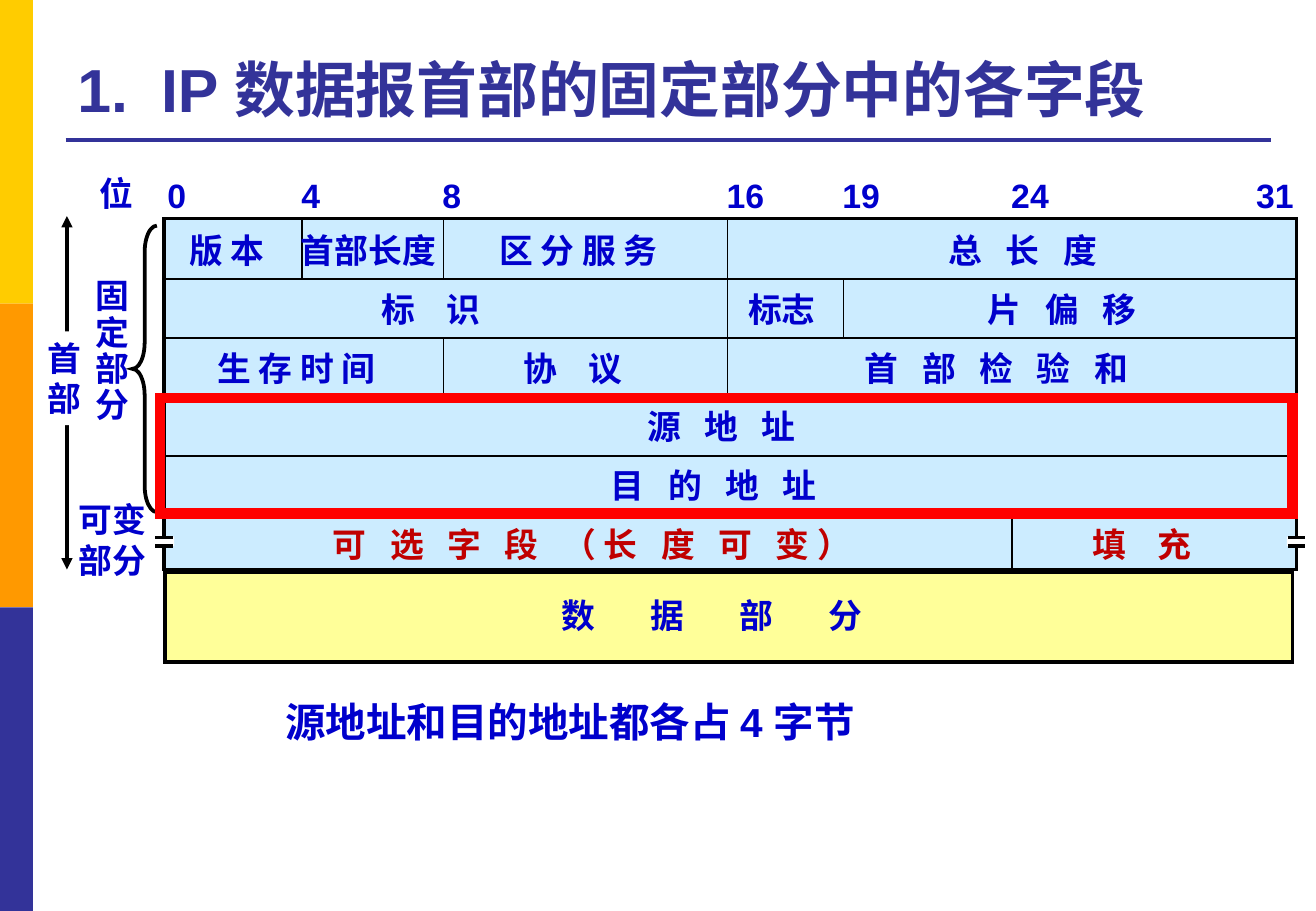
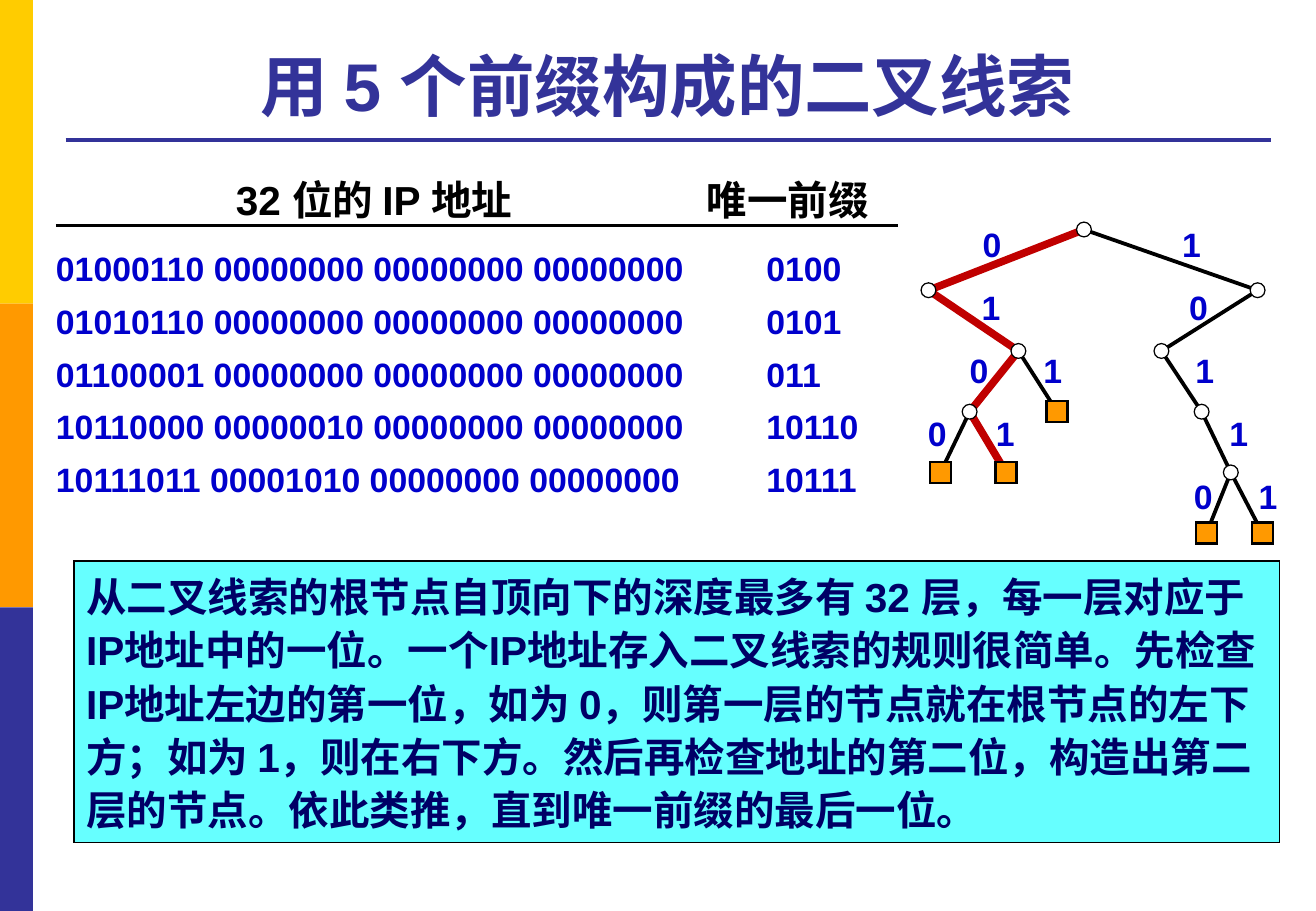
from lxml import etree
from pptx import Presentation
from pptx.dml.color import RGBColor
from pptx.enum.shapes import MSO_CONNECTOR, MSO_SHAPE
from pptx.enum.text import MSO_ANCHOR, PP_ALIGN
from pptx.oxml.ns import qn
from pptx.util import Cm, Pt

STRAIGHT = MSO_CONNECTOR.STRAIGHT
RECTANGLE, OVAL, LEFT_BRACE = MSO_SHAPE.RECTANGLE, MSO_SHAPE.OVAL, MSO_SHAPE.LEFT_BRACE
TOP, MIDDLE, BOTTOM = MSO_ANCHOR.TOP, MSO_ANCHOR.MIDDLE, MSO_ANCHOR.BOTTOM
LEFT, CENTER = PP_ALIGN.LEFT, PP_ALIGN.CENTER

FONT = "Arial"
INDIGO, BLUE, NAVY, RED = "333399", "0000CC", "000066", "C00000"
BLACK, WHITE, ORANGE = "000000", "FFFFFF", "FF9900"
BANDS = ["FFCC00", ORANGE, INDIGO]


def rgb(value):
    return RGBColor.from_string(value)


class Deck:
    """Hold the shared style and the slide being built."""

    def __init__(self):
        self.presentation = Presentation()
        self.presentation.slide_width = Cm(27.51)
        self.presentation.slide_height = Cm(19.05)
        self.slide = None

    def new_slide(self, title, size, align=LEFT, tab=None):
        self.slide = self.presentation.slides.add_slide(self.presentation.slide_layouts[6])
        for index, color in enumerate(BANDS):
            self.shape(RECTANGLE, 0, 6.35 * index, 0.69, 6.35, color)
        self.line(1.37, 2.92, 26.57, 2.92, 2.25, INDIGO)
        self.text(title, 1.37, 0.53, 25.17, 2.21, size, INDIGO, align=align, anchor=BOTTOM, tab=tab)

    def paint(self, shape, fill, line, width):
        if fill:
            shape.fill.solid()
            shape.fill.fore_color.rgb = rgb(fill)
        else:
            shape.fill.background()
        if line:
            shape.line.color.rgb = rgb(line)
            shape.line.width = Pt(width)
            etree.SubElement(shape._element.spPr.find(qn("a:ln")), qn("a:miter"), lim="800000")
        else:
            shape.line.fill.background()

    def shape(self, kind, x, y, width, height, fill=None, line=None, weight=1):
        shape = self.slide.shapes.add_shape(kind, Cm(x), Cm(y), Cm(width), Cm(height))
        shape.shadow.inherit = False
        self.paint(shape, fill, line, weight)
        return shape

    def line(self, x1, y1, x2, y2, weight=1, color=BLACK, arrows=False):
        connector = self.slide.shapes.add_connector(STRAIGHT, Cm(x1), Cm(y1), Cm(x2), Cm(y2))
        connector.line.color.rgb = rgb(color)
        connector.line.width = Pt(weight)
        properties = connector._element.spPr
        if arrows:
            for end in ("a:headEnd", "a:tailEnd"):
                etree.SubElement(properties.find(qn("a:ln")), qn(end), type="triangle")
        etree.SubElement(properties, qn("a:effectLst"))

    def style(self, paragraph, size, color, align=LEFT):
        paragraph.alignment = align
        paragraph.font.name = FONT
        paragraph.font.size = Pt(size)
        paragraph.font.bold = True
        paragraph.font.color.rgb = rgb(color)

    def text(self, text, x, y, width, height, size=20, color=BLUE, align=LEFT, anchor=TOP,
             wrap=True, spacing=None, tracking=0, tab=None, fill=None, line=None):
        box = self.slide.shapes.add_textbox(Cm(x), Cm(y), Cm(width), Cm(height))
        self.paint(box, fill, line, 0.75)
        frame = box.text_frame
        frame.word_wrap = wrap
        frame.vertical_anchor = anchor
        frame.text = text
        for paragraph in frame.paragraphs:
            self.style(paragraph, size, color, align)
            if spacing:
                paragraph.line_spacing = spacing
            defaults = paragraph._p.pPr.find(qn("a:defRPr"))
            if tracking:
                defaults.set("spc", str(tracking))
            if tab:
                stops = etree.Element(qn("a:tabLst"))
                etree.SubElement(stops, qn("a:tab"), pos=str(Cm(tab)), algn="l")
                defaults.addprevious(stops)

    def label(self, text, x, y, gap=1, color=BLUE):
        slack = 0.2 if gap == 1 else 1
        advance = {" ": 0.196 * gap}
        width = 0.51 + slack + sum(advance.get(c, 0.39 if c.isdigit() else 0.706) for c in text)
        self.text(text, x, y, width, 1.09, color=color, tracking=235 * (gap - 1))

    def table(self, x, y, widths, heights, rows):
        frame = self.slide.shapes.add_table(len(rows), len(widths), Cm(x), Cm(y),
                                            Cm(sum(widths)), Cm(sum(heights)))
        table = frame.table
        table.first_row = table.horz_banding = False
        for column, width in zip(table.columns, widths):
            column.width = Cm(width)
        for row_index, (row, height) in enumerate(zip(rows, heights)):
            table.rows[row_index].height = Cm(height)
            for column_index, value in enumerate(row):
                header = row_index == 0
                cell = table.cell(row_index, column_index)
                cell.fill.background()
                cell.text = value
                cell.vertical_anchor = TOP if header else MIDDLE
                cell.margin_top = cell.margin_bottom = cell.margin_right = 0
                cell.margin_left = Cm(1.55 if column_index and not header else 0)
                paragraph = cell.text_frame.paragraphs[0]
                if header:
                    self.style(paragraph, 24, BLACK, CENTER)
                else:
                    self.style(paragraph, 20, BLUE)


def build_header_slide(deck):
    deck.new_slide("1.\tIP 数据报首部的固定部分中的各字段", 36, tab=1.75)
    top, step, left, right = 4.61, 1.23, 3.4, 27.13
    bits = {0: 3.52, 4: 6.32, 8: 9.27, 16: 15.21, 19: 17.63, 24: 21.16, 31: 26.28}
    separators = [(4, 0, 1), (8, 0, 1), (8, 2, 3), (16, 0, 3), (19, 1, 2), (24, 5, 6)]
    fields = [
        [("版 本", 3.71, 1), ("首部长度", 6.04, 1), ("区 分 服 务", 10.19, 1), ("总 长 度", 19.58, 3)],
        [("标 识", 7.72, 4), ("标志", 15.39, 1), ("片 偏 移", 20.4, 3)],
        [("生 存 时 间", 4.29, 1), ("协 议", 10.69, 4), ("首 部 检 验 和", 17.83, 3)],
        [("源 地 址", 13.28, 3)],
        [("目 的 地 址", 12.52, 3)],
        [("可 选 字 段 （长 度 可 变）", 6.71, 3), ("填 充", 22.58, 4)],
    ]

    deck.shape(RECTANGLE, 3.43, 4.57, 23.67, 7.34, "CCECFF", BLACK, 2)
    deck.shape(RECTANGLE, 3.45, 11.96, 23.57, 1.88, "FFFF99", BLACK, 2.25)
    for row in range(1, len(fields)):
        deck.line(left, top + step * row, right, top + step * row)
    for bit, first, last in separators:
        deck.line(bits[bit], top + step * first, bits[bit], top + step * last)
    for bit, x in bits.items():
        deck.label(str(bit), x - 0.27, 3.53)
    for row, names in enumerate(fields):
        for name, x, gap in names:
            deck.label(name, x, top + step * row + 0.07, gap, RED if row == 5 else BLUE)
    deck.label("位", 1.83, 3.48)
    deck.label("数 据 部 分", 11.48, 12.32, 7)

    for x in (3.23, 26.9):
        deck.shape(RECTANGLE, x, 11.22, 0.41, 0.2, WHITE)
        for y in (11.24, 11.42):
            deck.line(x + 0.02, y, x + 0.38, y, 2)

    deck.line(1.4, 4.52, 1.4, 11.91, 2.25, arrows=True)
    deck.text("首\n部", 0.74, 6.93, 1.22, 1.96, wrap=False, fill=WHITE)
    deck.text("固\n定\n部\n分", 1.75, 5.72, 1.22, 3.33, wrap=False, spacing=0.9)
    deck.text("可变\n部分", 1.4, 10.31, 1.93, 1.96, wrap=False)
    brace = deck.shape(LEFT_BRACE, 2.77, 4.72, 0.51, 5.99, line=BLACK, weight=2.25)
    brace.adjustments[0] = 1.08

    deck.text("源地址和目的地址都各占 4 字节", 5.61, 14.45, 12.62, 1.3, 24, align=CENTER)
    deck.shape(RECTANGLE, 3.35, 8.33, 23.67, 2.41, line="FF0000", weight=6)


def build_trie_slide(deck):
    deck.new_slide("用 5 个前缀构成的二叉线索", 40, CENTER)
    rows = [
        ("32 位的 IP 地址", "唯一前缀"),
        ("01000110 00000000 00000000 00000000", "0100"),
        ("01010110 00000000 00000000 00000000", "0101"),
        ("01100001 00000000 00000000 00000000", "011"),
        ("10110000 00000010 00000000 00000000", "10110"),
        ("10111011 00001010 00000000 00000000", "10111"),
    ]
    deck.table(1.17, 3.53, [13.3, 4], [1.57] + [1.1] * 5, rows)
    deck.line(1.17, 4.72, 18.77, 4.72, 1.5)

    leaves = [prefix for _, prefix in rows[1:]]
    highlighted = "0101"
    node_x = {
        "": 22.66, "0": 19.41, "01": 21.29, "010": 20.27, "0100": 19.66, "0101": 21.03,
        "011": 22.1, "1": 26.29, "10": 24.28, "101": 25.12, "1011": 25.73,
        "10110": 25.22, "10111": 26.39,
    }
    label_x = {
        "0": 20.29, "01": 20.27, "010": 20.02, "0100": 19.15, "0101": 20.57, "011": 21.56,
        "1": 24.46, "10": 24.61, "101": 24.74, "1011": 25.45, "10110": 24.71, "10111": 26.06,
    }

    def node_y(prefix):
        return 4.8 + 1.27 * len(prefix)

    for prefix, x in label_x.items():
        parent = prefix[:-1]
        weight, color = (4.5, RED) if highlighted.startswith(prefix) else (2.25, BLACK)
        deck.line(node_x[parent], node_y(parent), node_x[prefix], node_y(prefix), weight, color)
        deck.label(prefix[-1], x, 4.55 + 1.32 * (len(prefix) - 1))
    for prefix, x in node_x.items():
        kind, size, fill, weight = (
            (RECTANGLE, 0.44, ORANGE, 1.5) if prefix in leaves else (OVAL, 0.31, WHITE, 0.75))
        deck.shape(kind, x - size / 2, node_y(prefix) - size / 2, size, size, fill, BLACK, weight)

    deck.text(
        "从二叉线索的根节点自顶向下的深度最多有 32 层，每一层对应于IP地址中的一位。"
        "一个IP地址存入二叉线索的规则很简单。先检查IP地址左边的第一位，如为 0，"
        "则第一层的节点就在根节点的左下方；如为 1，则在右下方。"
        "然后再检查地址的第二位，构造出第二层的节点。依此类推，直到唯一前缀的最后一位。",
        1.55, 11.73, 25.2, 5.89, 24, NAVY, spacing=1.1, fill="66FFFF", line=BLACK)


def main():
    deck = Deck()
    build_header_slide(deck)
    build_trie_slide(deck)
    deck.presentation.save("out.pptx")


if __name__ == "__main__":
    main()
